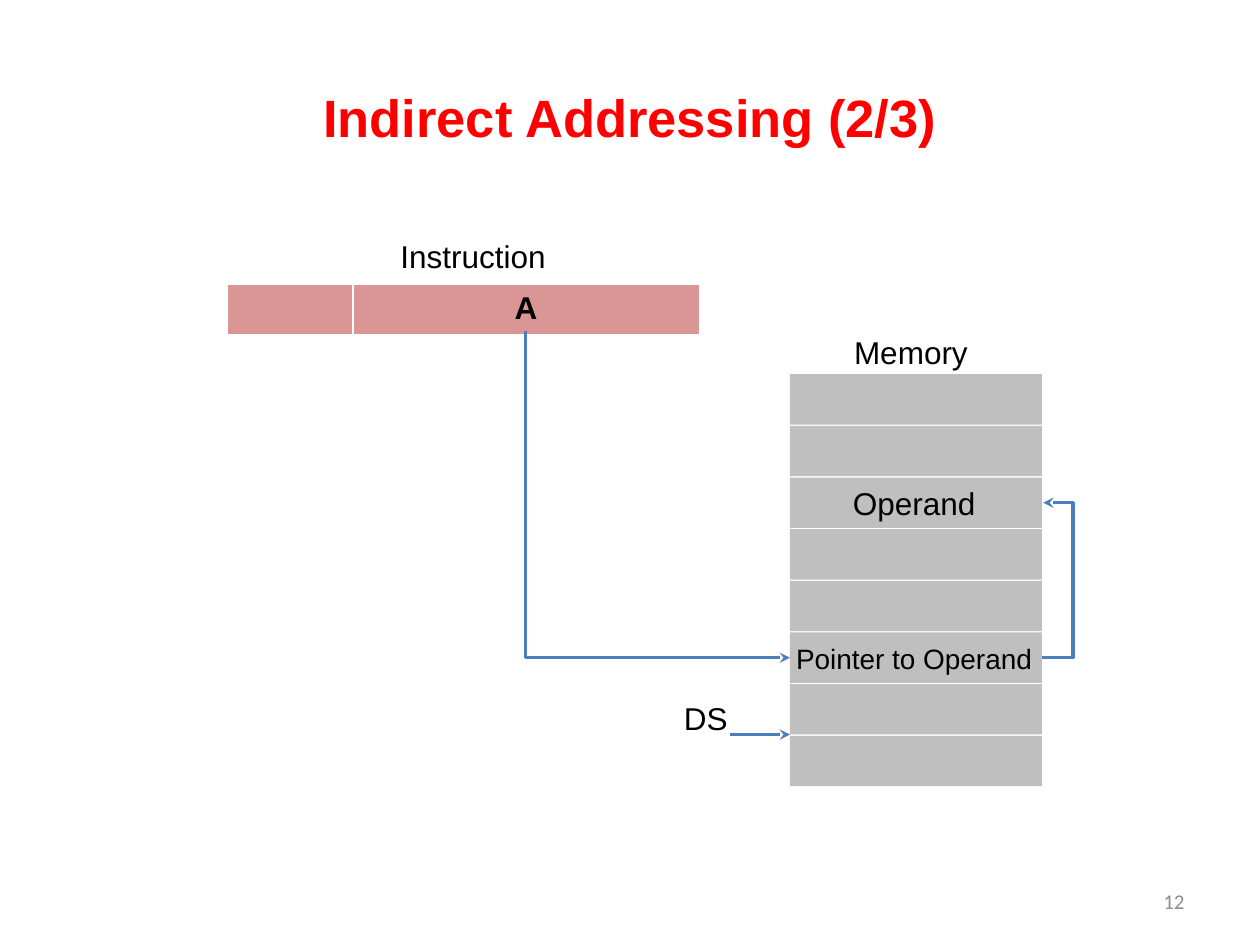
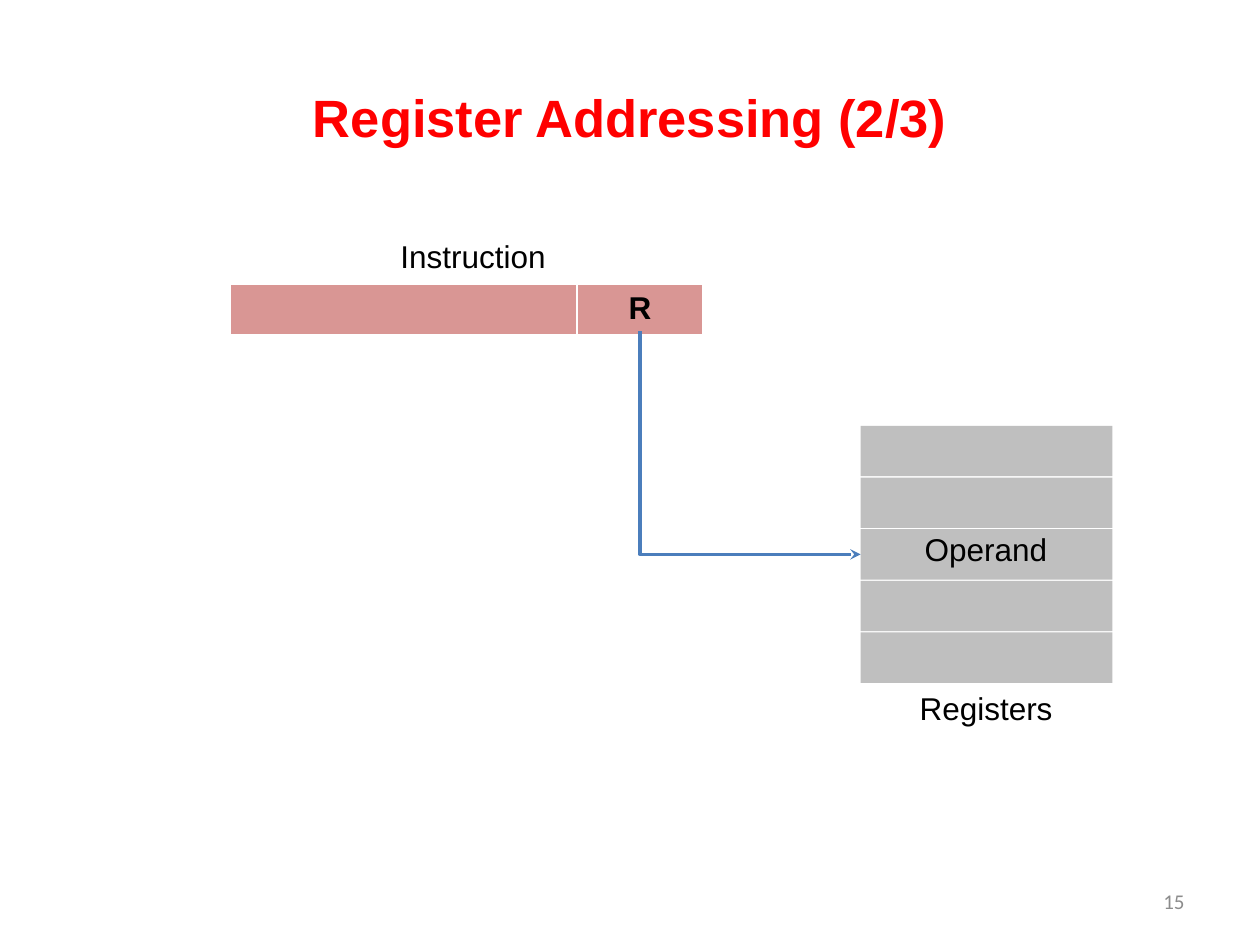
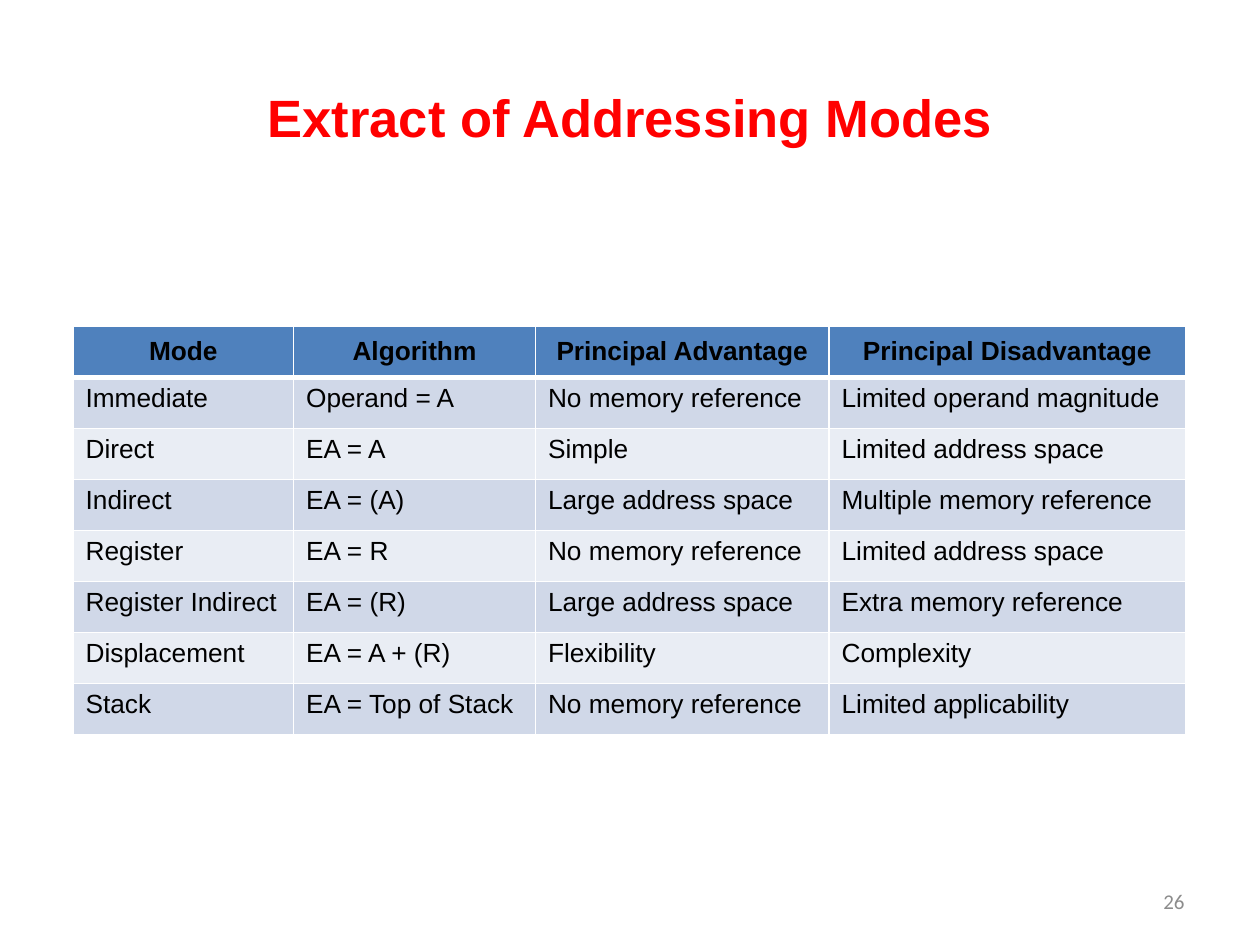
from lxml import etree
from pptx import Presentation
from pptx.dml.color import RGBColor
from pptx.enum.shapes import MSO_CONNECTOR, MSO_SHAPE
from pptx.enum.text import MSO_ANCHOR, MSO_AUTO_SIZE, PP_ALIGN
from pptx.oxml.ns import qn
from pptx.util import Inches, Pt

LEFT, CENTER, RIGHT = PP_ALIGN.LEFT, PP_ALIGN.CENTER, PP_ALIGN.RIGHT
TOP, MIDDLE = MSO_ANCHOR.TOP, MSO_ANCHOR.MIDDLE
FIT, FIXED = MSO_AUTO_SIZE.SHAPE_TO_FIT_TEXT, MSO_AUTO_SIZE.NONE
RECTANGLE = MSO_SHAPE.RECTANGLE
STRAIGHT, ELBOW = MSO_CONNECTOR.STRAIGHT, MSO_CONNECTOR.ELBOW
TITLE_ONLY = 5

# Shared style; lengths are units of a grid of 100 columns by 75 rows
COLUMNS, ROWS = 100, 75
RED, BLACK, WHITE, GREY = "FF0000", "000000", "FFFFFF", "8C8C8C"
PINK, SILVER, ARROW = "D99694", "BFBFBF", "4B7EBC"
HEADER, BANDS = "4F81BD", ("D0D8E8", "E9EDF4")
ROW_HEIGHT = 4.05
CELL_WIDTH, CELL_HEIGHT, CELL_STEP = 20, 4, 4.1


def color(code):
    return RGBColor.from_string(code)


class Slides:
    """Holds the style and the slide being drawn."""

    def __init__(self):
        self.deck = Presentation()
        self.deck.slide_width, self.deck.slide_height = Inches(10), Inches(7.5)
        self.page = None

    def place(self, left, top, width, height):
        across = self.deck.slide_width / COLUMNS
        down = self.deck.slide_height / ROWS
        return (round(left * across), round(top * down),
                round(width * across), round(height * down))

    def set_text(self, frame, text, size, code=BLACK, bold=False, align=LEFT, font="Arial"):
        para = frame.paragraphs[0]
        para.text, para.alignment = text, align
        para.font.name, para.font.size, para.font.bold = font, Pt(size), bold
        para.font.color.rgb = color(code)

    def start(self, title, number):
        self.page = self.deck.slides.add_slide(self.deck.slide_layouts[TITLE_ONLY])
        box = self.page.shapes.title
        box.left, box.top, box.width, box.height = self.place(5, 3, 90, 12.5)
        box.text_frame.vertical_anchor = MIDDLE
        self.set_text(box.text_frame, title, 30, RED, True, CENTER)
        self.label(number, 71.7, 69.5, 23.3, size=12, code=GREY, align=RIGHT,
                   font="Calibri", anchor=MIDDLE, wrap=True)

    def label(self, text, left, top, width, height=4, size=18, anchor=TOP,
              wrap=False, **style):
        box = self.page.shapes.add_textbox(*self.place(left, top, width, height))
        frame = box.text_frame
        frame.word_wrap, frame.vertical_anchor = wrap, anchor
        frame.auto_size = FIXED if wrap else FIT
        self.set_text(frame, text, size, **style)

    def stack(self, left, top, count):
        for index in range(count):
            cell = self.page.shapes.add_shape(RECTANGLE, *self.place(
                left, top + index * CELL_STEP, CELL_WIDTH, CELL_HEIGHT))
            cell.shadow.inherit = False
            cell.fill.solid()
            cell.fill.fore_color.rgb = color(SILVER)
            cell.line.fill.background()

    # Connectors
    def connect(self, kind, start, end):
        line = self.page.shapes.add_connector(kind, *self.place(*start, *end))
        line.line.color.rgb, line.line.width = color(ARROW), Pt(2)
        etree.SubElement(line.get_or_add_ln(), qn("a:tailEnd"), type="stealth")
        properties = line._element.spPr
        etree.SubElement(properties, qn("a:effectLst"))
        return properties

    def arrow(self, start, end):
        self.connect(STRAIGHT, start, end)

    def down_then_right(self, start, end):
        """One bend: a mirrored corner, turned by 270 degrees about its centre."""
        middle_x, middle_y = (start[0] + end[0]) / 2, (start[1] + end[1]) / 2
        half_x, half_y = (end[0] - start[0]) / 2, (end[1] - start[1]) / 2
        properties = self.connect(ELBOW, (middle_x + half_y, middle_y - half_x),
                                  (middle_x - half_y, middle_y + half_x))
        properties.find(qn("a:xfrm")).set("rot", str(270 * 60000))
        properties.find(qn("a:prstGeom")).set("prst", "bentConnector2")

    def loop_right(self, start, end, reach):
        """Two bends, swinging out to the right by reach columns."""
        properties = self.connect(ELBOW, start, end)
        geometry = properties.find(qn("a:prstGeom"))
        share = round(100000 * reach / (end[0] - start[0]))
        guides = geometry.find(qn("a:avLst"))
        etree.SubElement(guides, qn("a:gd"), name="adj1", fmla=f"val {share}")

    # Tables
    def table(self, left, top, widths, rows):
        shape = self.page.shapes.add_table(len(rows), len(widths), *self.place(
            left, top, sum(widths), ROW_HEIGHT * len(rows)))
        table = shape.table
        table.first_row = table.horz_banding = False
        for column, width in zip(table.columns, widths):
            column.width = self.place(0, 0, width, 0)[2]
        return table

    def fill_cell(self, cell, code, top=1, bottom=1):
        properties = cell._tc.get_or_add_tcPr()
        for side, width in (("L", 1), ("R", 1), ("T", top), ("B", bottom)):
            border = etree.SubElement(properties, qn(f"a:ln{side}"), w=str(Pt(width)))
            fill = etree.SubElement(border, qn("a:solidFill"))
            etree.SubElement(fill, qn("a:srgbClr"), val=WHITE)
        cell.fill.solid()
        cell.fill.fore_color.rgb = color(code)

    def instruction(self, left, widths, texts):
        table = self.table(left, 22.6, widths, [texts])
        for cell, text in zip(table.rows[0].cells, texts):
            self.fill_cell(cell, PINK, bottom=3)
            if text:
                self.set_text(cell.text_frame, text, 18, bold=True, align=CENTER)
        self.label("Instruction", 30.8, 18.3, 13.7)

    def data_table(self, left, top, widths, rows):
        table = self.table(left, top, widths, rows)
        for index, texts in enumerate(rows):
            header = index == 0
            code = HEADER if header else BANDS[(index - 1) % 2]
            # The heavy rule under the header belongs to both rows it touches
            rules = {"top": 3 if index == 1 else 1, "bottom": 3 if header else 1}
            for cell, text in zip(table.rows[index].cells, texts):
                self.fill_cell(cell, code, **rules)
                cell.vertical_anchor = MIDDLE if header else TOP
                self.set_text(cell.text_frame, text, 15, bold=header,
                              align=CENTER if header else LEFT)


MODES = [
    ("Mode", "Algorithm", "Principal Advantage", "Principal Disadvantage"),
    ("Immediate", "Operand = A", "No memory reference", "Limited operand magnitude"),
    ("Direct", "EA = A", "Simple", "Limited address space"),
    ("Indirect", "EA = (A)", "Large address space", "Multiple memory reference"),
    ("Register", "EA = R", "No memory reference", "Limited address space"),
    ("Register Indirect", "EA = (R)", "Large address space", "Extra memory reference"),
    ("Displacement", "EA = A + (R)", "Flexibility", "Complexity"),
    ("Stack", "EA = Top of Stack", "No memory reference", "Limited applicability"),
]


def main():
    slides = Slides()

    # Indirect addressing: the instruction points to a pointer in memory
    slides.start("Indirect Addressing (2/3)", "12")
    slides.instruction(18, (10, 27.5), ("", "A"))
    memory = 62.7
    memory_end = memory + CELL_WIDTH
    slides.stack(memory, 29.7, 8)
    slides.label("Memory", 66.8, 25.9, 11.1)
    slides.label("Pointer to Operand", 62.2, 50.4, 21, 3.7, size=16)
    slides.label("Operand", 66.7, 37.9, 11.8)
    slides.label("DS", 53.3, 55, 5.5)
    slides.down_then_right((41.7, 26.3), (memory, 52.2))
    slides.arrow((57.9, 58.3), (memory, 58.3))
    slides.loop_right((memory_end, 52.2), (memory_end + 0.1, 39.9), 2.5)

    # Register addressing: the instruction names a register
    slides.start("Register Addressing (2/3)", "15")
    slides.instruction(18.3, (27.5, 10), ("", "R"))
    registers = 68.3
    slides.stack(registers, 33.8, 5)
    slides.label("Registers", 72, 54.2, 12.7)
    slides.label("Operand", 72.4, 41.6, 11.8)
    slides.down_then_right((50.8, 26.3), (registers, 44))

    # Table of addressing modes
    slides.start("Extract of Addressing Modes", "26")
    slides.data_table(5.8, 25.9, (17.5, 19.2, 23.3, 28.3), MODES)

    slides.deck.save("out.pptx")


if __name__ == "__main__":
    main()
